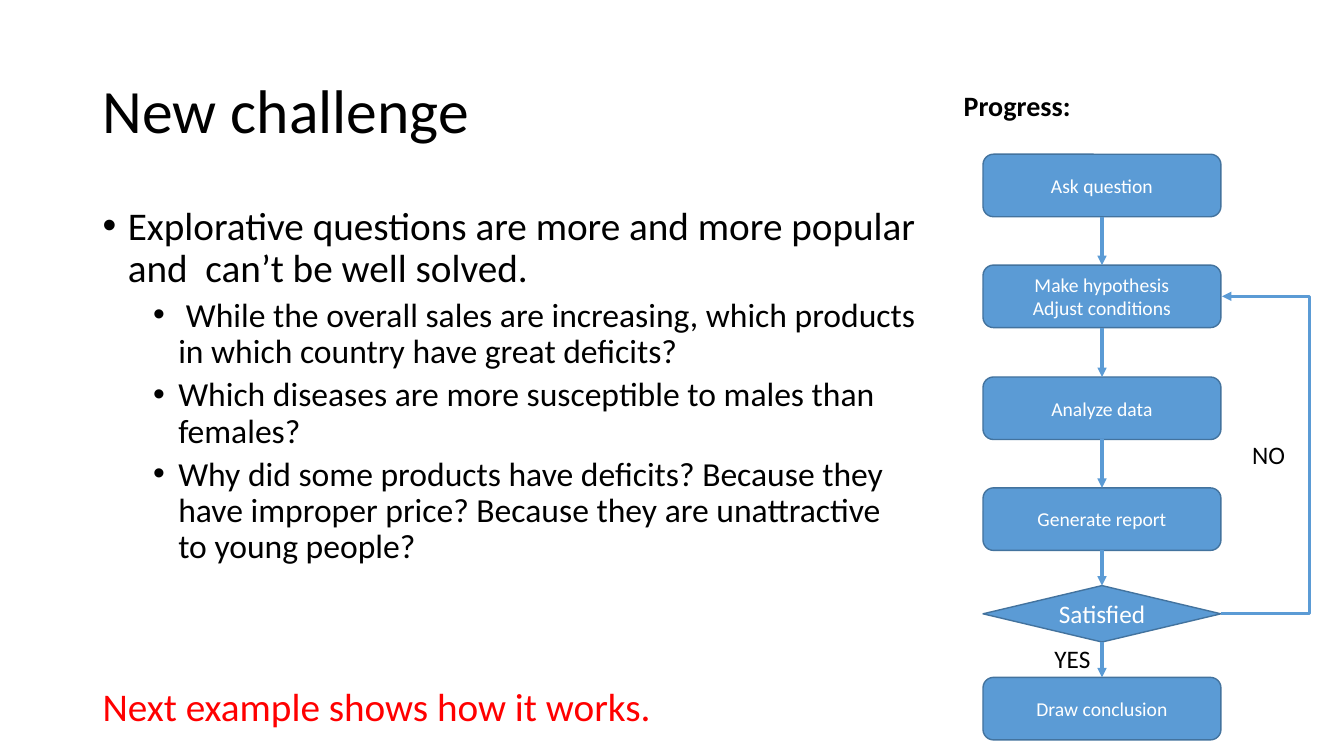
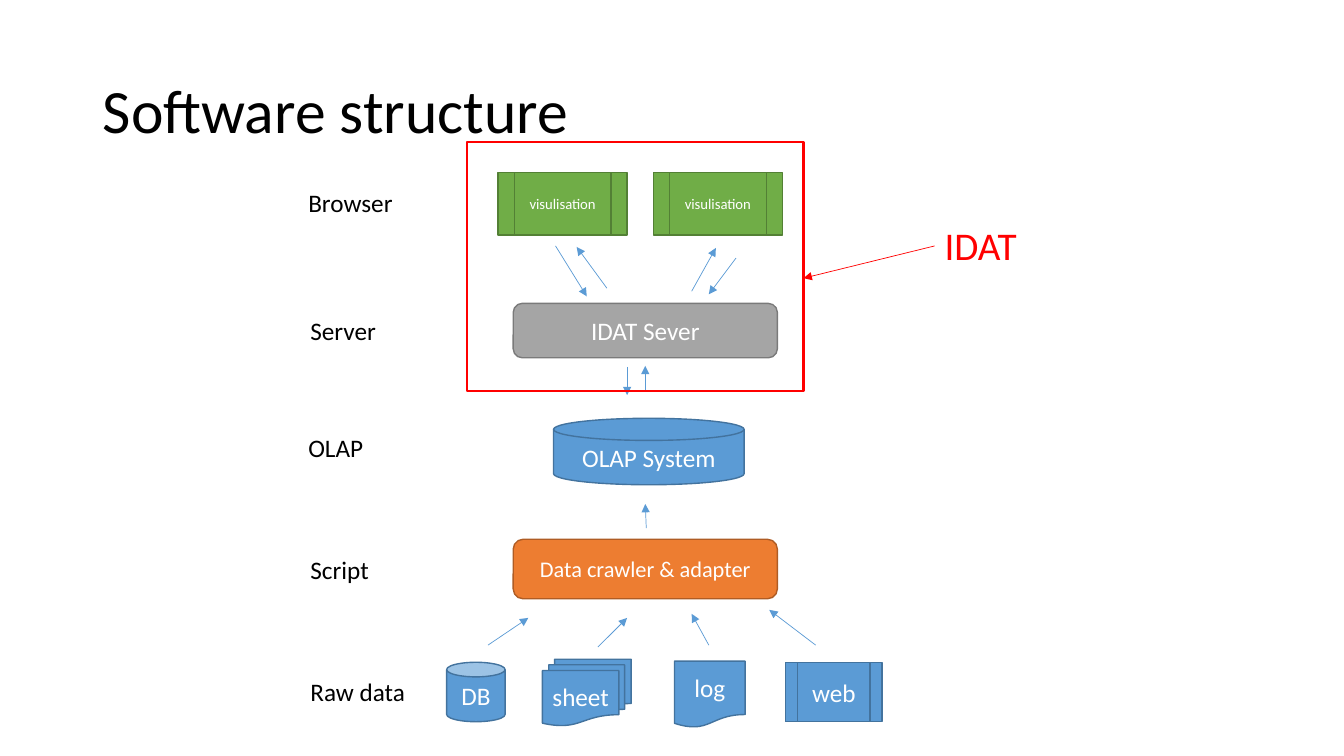
from collections import namedtuple
from lxml import etree
from pptx import Presentation
from pptx.dml.color import RGBColor
from pptx.enum.shapes import MSO_CONNECTOR as Link, MSO_SHAPE as Kind
from pptx.enum.text import MSO_ANCHOR as Anchor, MSO_AUTO_SIZE as Fit, PP_ALIGN as Align
from pptx.oxml.ns import qn
from pptx.util import Emu, Pt

# Shared style
PX = 9144  # EMU in one px, 100 px to the inch
FONT = "Calibri"
BLACK, WHITE, RED = "000000", "FFFFFF", "FF0000"
BLUE = ("5B9BD5", "43739E")  # fill, outline
GREY = ("A5A5A5", "7A7A7A")
ORANGE = ("ED7D31", "AF5C24")
GREEN = ("70AD47", "538035")

Box = namedtuple("Box", "left top width height")
TITLE = Box(92, 40, 1150, 145)


def px(length):
    return Emu(length * PX)


def color(value):
    return RGBColor.from_string(value)


def inside(region, left, top, width, height):
    """A box given relative to the corner of its region."""
    return Box(region.left + left, region.top + top, width, height)


def add_run(para, text, size, ink, bold=False):
    span = para.add_run()
    span.text = text
    span.font.name = FONT
    span.font.size = Pt(size)
    span.font.bold = bold
    span.font.color.rgb = color(ink)


def add_page(deck, title):
    page = deck.slides.add_slide(deck.slide_layouts[5])
    holder = page.shapes.title
    holder.left, holder.top, holder.width, holder.height = map(px, TITLE)
    frame = holder.text_frame
    frame.vertical_anchor = Anchor.MIDDLE
    frame.auto_size = Fit.NONE
    para = frame.paragraphs[0]
    para.alignment = Align.LEFT
    para.line_spacing = 0.9
    add_run(para, title, 44, BLACK)
    return page


def add_label(page, box, text, size=18, ink=BLACK, bold=False, wrap=False):
    label = page.shapes.add_textbox(*map(px, box))
    frame = label.text_frame
    frame.word_wrap = wrap
    frame.auto_size = Fit.SHAPE_TO_FIT_TEXT
    add_run(frame.paragraphs[0], text, size, ink, bold)


def add_node(page, kind, box, lines, size=18, colors=BLUE):
    fill, outline = colors
    node = page.shapes.add_shape(kind, *map(px, box))
    node.shadow.inherit = False
    node.fill.solid()
    node.fill.fore_color.rgb = color(fill)
    node.line.color.rgb = color(outline)
    node.line.width = Pt(1)
    frame = node.text_frame
    frame.word_wrap = False
    frame.vertical_anchor = Anchor.MIDDLE
    for index, line in enumerate(lines):
        para = frame.add_paragraph() if index else frame.paragraphs[0]
        para.alignment = Align.CENTER
        add_run(para, line, size, WHITE)
    return node


def add_arrow(page, start, end, weight=0.5, ink=BLUE[0], link=Link.STRAIGHT):
    arrow = page.shapes.add_connector(link, *map(px, (*start, *end)))
    arrow.line.color.rgb = color(ink)
    arrow.line.width = Pt(weight)
    props = arrow._element.spPr
    etree.SubElement(props.find(qn("a:ln")), qn("a:tailEnd"), type="triangle")
    etree.SubElement(props, qn("a:effectLst"))
    return arrow


def add_bullets(page, region, items):
    """Items are (level, text) pairs."""
    frame = page.shapes.add_textbox(*map(px, region)).text_frame
    frame.word_wrap = True
    styles = [(25, 28, 10), (75, 24, 5)]  # indent, text size, space before
    for index, (level, text) in enumerate(items):
        indent, size, gap = styles[level]
        para = frame.add_paragraph() if index else frame.paragraphs[0]
        para.level = level
        para.line_spacing = 0.9
        para.space_before = Pt(gap)
        add_run(para, text, size, BLACK)
        props = para._p.get_or_add_pPr()
        props.set("marL", str(px(indent)))
        props.set("indent", str(px(-25)))
        etree.SubElement(props, qn("a:buFont"), typeface="Arial")
        etree.SubElement(props, qn("a:buChar"), char="•")


def add_progress(page, region):
    add_label(page, inside(region, 0, 0, 265, 44), "Progress:", 20, bold=True, wrap=True)

    # Steps from top to bottom
    left, width = 29, 236
    steps = [
        (70, ["Ask question"]),
        (180, ["Make hypothesis", "Adjust conditions"]),
        (291, ["Analyze data"]),
        (401, ["Generate report"]),
        (498, ["Satisfied"]),
        (589, ["Draw conclusion"]),
    ]
    nodes = []
    for top, lines in steps:
        decision = lines == ["Satisfied"]
        kind, height, size = (
            (Kind.FLOWCHART_DECISION, 56, 18) if decision
            else (Kind.ROUNDED_RECTANGLE, 62, 14))
        box = inside(region, left, top, width, height)
        nodes.append(add_node(page, kind, box, lines, size))

    # Arrows from bottom side to top side
    for upper, lower in zip(nodes, nodes[1:]):
        arrow = add_arrow(page, (0, 0), (1, 1), 2.25)
        arrow.begin_connect(upper, 2)
        arrow.end_connect(lower, 0)

    # Loop back to the hypothesis
    edge = region.left + left + width
    rail = region.left + region.width
    loop = add_arrow(page, (edge, region.top + 526), (edge + 1, region.top + 211),
                     2.25, link=Link.ELBOW)
    guides = loop._element.spPr.find(qn("a:prstGeom")).get_or_add_avLst()
    etree.SubElement(guides, qn("a:gd"), name="adj1",
                     fmla=f"val {(rail - edge) * 100000}")

    add_label(page, inside(region, 90, 550, 56, 40), "YES")
    add_label(page, inside(region, 286, 348, 53, 40), "NO")


def add_structure(page, region):
    # Raw data sources
    sources = [
        (Kind.CAN, (147, 516, 58, 59), "DB"),
        (Kind.FLOWCHART_MULTIDOCUMENT, (242, 513, 88, 66), "sheet"),
        (Kind.FLOWCHART_PREDEFINED_PROCESS, (483, 516, 96, 59), "web"),
        (Kind.FLOWCHART_DOCUMENT, (373, 515, 70, 66), "log"),
    ]
    for kind, place, text in sources:
        add_node(page, kind, inside(region, *place), [text])

    # Processing layers
    layers = [
        (Kind.ROUNDED_RECTANGLE, (213, 160, 262, 54), "IDAT Sever", 18, GREY),
        (Kind.FLOWCHART_MAGNETIC_DISK, (253, 274, 189, 66), "OLAP System", 18, BLUE),
        (Kind.ROUNDED_RECTANGLE, (213, 394, 262, 59), "Data crawler & adapter", 16, ORANGE),
    ]
    for kind, place, text, size, colors in layers:
        add_node(page, kind, inside(region, *place), [text], size, colors)
    for left in (198, 352):
        add_node(page, Kind.FLOWCHART_PREDEFINED_PROCESS,
                 inside(region, left, 30, 128, 62), ["visulisation"], 10.5, GREEN)

    # Layer names
    names = [(0, 40, 104, "Browser"), (2, 167, 86, "Server"), (0, 283, 77, "OLAP"),
             (2, 404, 79, "Script"), (2, 525, 115, "Raw data")]
    for left, top, width, text in names:
        add_label(page, inside(region, left, top, width, 40), text)

    # Data flow
    def flow(start, end, ink=BLUE[0]):
        ends = [(region.left + x, region.top + y) for x, y in (start, end)]
        add_arrow(page, *ends, ink=ink)

    flows = [
        ((188, 499), (228, 472)), ((297, 501), (326, 472)),  # sources to crawler
        ((407, 499), (390, 468)), ((513, 499), (467, 464)),
        ((345, 383), (344, 359)),  # crawler to OLAP
        ((344, 247), (344, 222)), ((326, 223), (326, 251)),  # OLAP and server
        ((306, 145), (276, 104)), ((390, 148), (414, 105)),  # server to browser
        ((255, 103), (286, 153)), ((434, 115), (407, 151)),  # browser to server
    ]
    for start, end in flows:
        flow(start, end)

    # Highlighted part
    outline = page.shapes.add_shape(Kind.RECTANGLE, *map(px, inside(region, 167, 0, 334, 247)))
    outline.shadow.inherit = False
    outline.fill.background()
    outline.line.color.rgb = color(RED)
    outline.line.width = Pt(1.5)
    add_label(page, inside(region, 631, 74, 92, 57), "IDAT", 28, RED)
    flow((631, 103), (501, 135), RED)


def challenge_page(deck):
    page = add_page(deck, "New challenge")
    add_bullets(page, Box(92, 200, 826, 476), [
        (0, "Explorative questions are more and more popular and  can’t be well solved."),
        (1, " While the overall sales are increasing, which products in which country "
            "have great deficits?"),
        (1, "Which diseases are more susceptible to males than females?"),
        (1, "Why did some products have deficits? Because they have improper price? "
            "Because they are unattractive to young people?"),
    ])
    add_progress(page, Box(946, 83, 354, 651))
    add_label(page, Box(92, 672, 570, 57), "Next example shows how it works.", 28, RED)


def structure_page(deck):
    page = add_page(deck, "Software structure")
    add_structure(page, Box(296, 141, 723, 581))


def main():
    deck = Presentation()
    deck.slide_width, deck.slide_height = px(1333), px(750)
    challenge_page(deck)
    structure_page(deck)
    deck.save("out.pptx")


if __name__ == "__main__":
    main()
